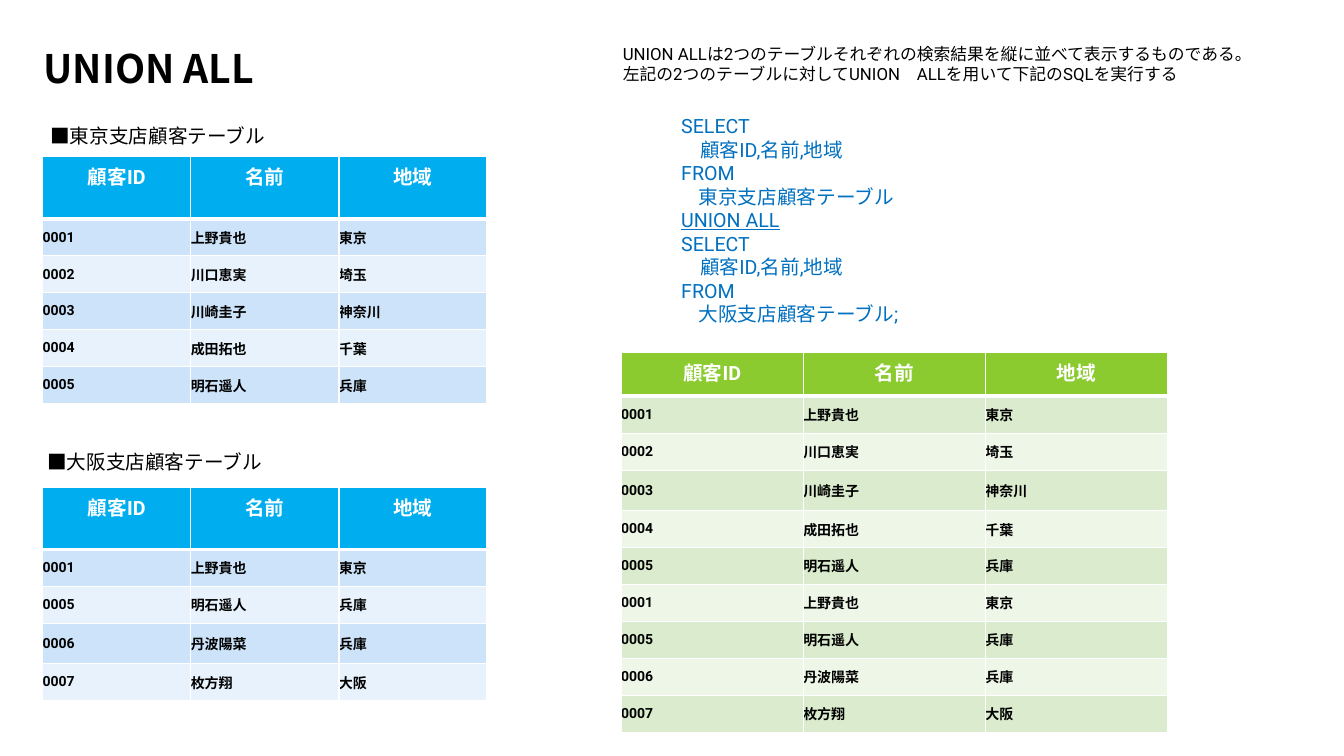
import pptx
import pptx.util
import pptx.dml.color
import pptx.enum.text
import pptx.oxml
import pptx.oxml.ns

Pt = pptx.util.Pt
Align = pptx.enum.text.PP_ALIGN
Anchor = pptx.enum.text.MSO_ANCHOR
Fit = pptx.enum.text.MSO_AUTO_SIZE
CJK = "Noto Sans CJK JP"


def paint(target, color):
    """Give a fill or a font one solid colour."""
    if hasattr(target, "solid"):
        target.solid()
        target = target.fore_color
    else:
        target = target.color
    target.rgb = pptx.dml.color.RGBColor.from_string(color)


def write(para, text, color, form):
    """Add one run, with form holding its font values."""
    run = para.add_run()
    run.text = text
    for key, value in form.items():
        setattr(run.font, key, value)
    paint(run.font, color)
    east = run.font._element.makeelement(pptx.oxml.ns.qn("a:ea"), {"typeface": CJK})
    run.font._element.append(east)


deck = pptx.Presentation()
deck.slide_width, deck.slide_height = Pt(960), Pt(540)
slide = deck.slides.add_slide(deck.slide_layouts[5])

# Title
title = slide.shapes.title
place = {"left": 24, "top": 32.4, "width": 246, "height": 36}
for key, value in place.items():
    setattr(title, key, Pt(value))
title.text_frame.auto_size = Fit.NONE
title.text_frame.vertical_anchor = Anchor.BOTTOM
head = title.text_frame.paragraphs[0]
head.alignment, head.line_spacing = Align.LEFT, 0.8
write(head, "UNION ALL", "000000", {"name": CJK, "size": Pt(28), "bold": True})

# Text boxes: place, size, colour, lines as (text, indent)
fields = "顧客ID,名前,地域"
query = [
    ("SELECT", 0), (fields, 13.5), ("FROM", 0), ("東京支店顧客テーブル", 12.5),
    ("UNION ALL", 0),
    ("SELECT", 0), (fields, 13.5), ("FROM", 0), ("大阪支店顧客テーブル;", 12.5),
]
intro = [
    ("UNION ALLは2つのテーブルそれぞれの検索結果を縦に並べて表示するものである。", 0),
    ("左記の2つのテーブルに対してUNION　ALLを用いて下記のSQLを実行する", 0),
]
boxes = [
    ((26.6, 317.5, 181.5, 24.2), 14, "000000", [("■大阪支店顧客テーブル", 0)]),
    ((28.8, 85, 181.5, 24.2), 14, "000000", [("■東京支店顧客テーブル", 0)]),
    ((437.8, 27.4, 491.8, 36), 12, "000000", intro),
    ((479.5, 77.8, 216, 159.8), 14, "0070C0", query),
]
for spot, size, color, lines in boxes:
    frame = slide.shapes.add_textbox(*map(Pt, spot)).text_frame
    frame.word_wrap = True
    for num, (text, indent) in enumerate(lines):
        para = frame.add_paragraph() if num else frame.paragraphs[0]
        if indent:
            para._p.get_or_add_pPr().set("marL", str(Pt(indent)))
        form = {"name": "Roboto", "size": Pt(size)}
        if text == "UNION ALL":
            form["underline"] = True
        write(para, text, color, form)

# Tables: place, column width, header height, tall row, colours, rows
tokyo = [
    ("0001", "上野貴也", "東京"),
    ("0002", "川口恵実", "埼玉"),
    ("0003", "川崎圭子", "神奈川"),
    ("0004", "成田拓也", "千葉"),
    ("0005", "明石遥人", "兵庫"),
]
osaka = [
    tokyo[0],
    tokyo[4],
    ("0006", "丹波陽菜", "兵庫"),
    ("0007", "枚方翔", "大阪"),
]
blue = ("00AEEF", "CCE3F9", "E7F2FC")
green = ("8BCB30", "DAECCD", "EEF6E8")
tables = [
    (30.5, 111.9, 105.8, 44.4, None, blue, tokyo),
    (30.5, 348, 105.8, 44.4, 3, blue, osaka),
    (443.7, 251.9, 130.1, 31.2, 3, green, tokyo + osaka),
]
edge = (
    '<a:{} xmlns:a="http://schemas.openxmlformats.org/drawingml/2006/main" w="{}">'
    '<a:solidFill><a:srgbClr val="FFFFFF"/></a:solidFill></a:{}>'
)
for left, top, width, first, tall, colors, data in tables:
    rows = [("顧客ID", "名前", "地域")] + data
    highs = [first] + [28.8 if num == tall else 26.4 for num in range(1, len(rows))]
    spot = (left, top, 3 * width, sum(highs))
    grid = slide.shapes.add_table(len(rows), 3, *map(Pt, spot)).table
    for col in grid.columns:
        col.width = Pt(width)
    for num, values in enumerate(rows):
        grid.rows[num].height = Pt(highs[num])
        for place, text in enumerate(values):
            cell = grid.cell(num, place)
            para = cell.text_frame.paragraphs[0]
            if num == 0:
                fill, color, size, name = colors[0], "FFFFFF", 14, "Roboto"
                para.alignment = Align.CENTER
            else:
                fill, color, size = colors[2 - num % 2], "000000", 10
                name = CJK if place else "Roboto"
                cell.vertical_anchor = Anchor.MIDDLE
                for side in ("left", "right", "top", "bottom"):
                    setattr(cell, "margin_" + side, 0)
            paint(cell.fill, fill)
            write(para, text, color, {"name": name, "size": Pt(size), "bold": True})
            sides = {"lnL": 1, "lnR": 1, "lnT": 3 if num == 1 else 1,
                     "lnB": 3 if num == 0 else 1}
            for order, (side, weight) in enumerate(sides.items()):
                line = pptx.oxml.parse_xml(edge.format(side, Pt(weight), side))
                cell._tc.get_or_add_tcPr().insert(order, line)

deck.save("out.pptx")
